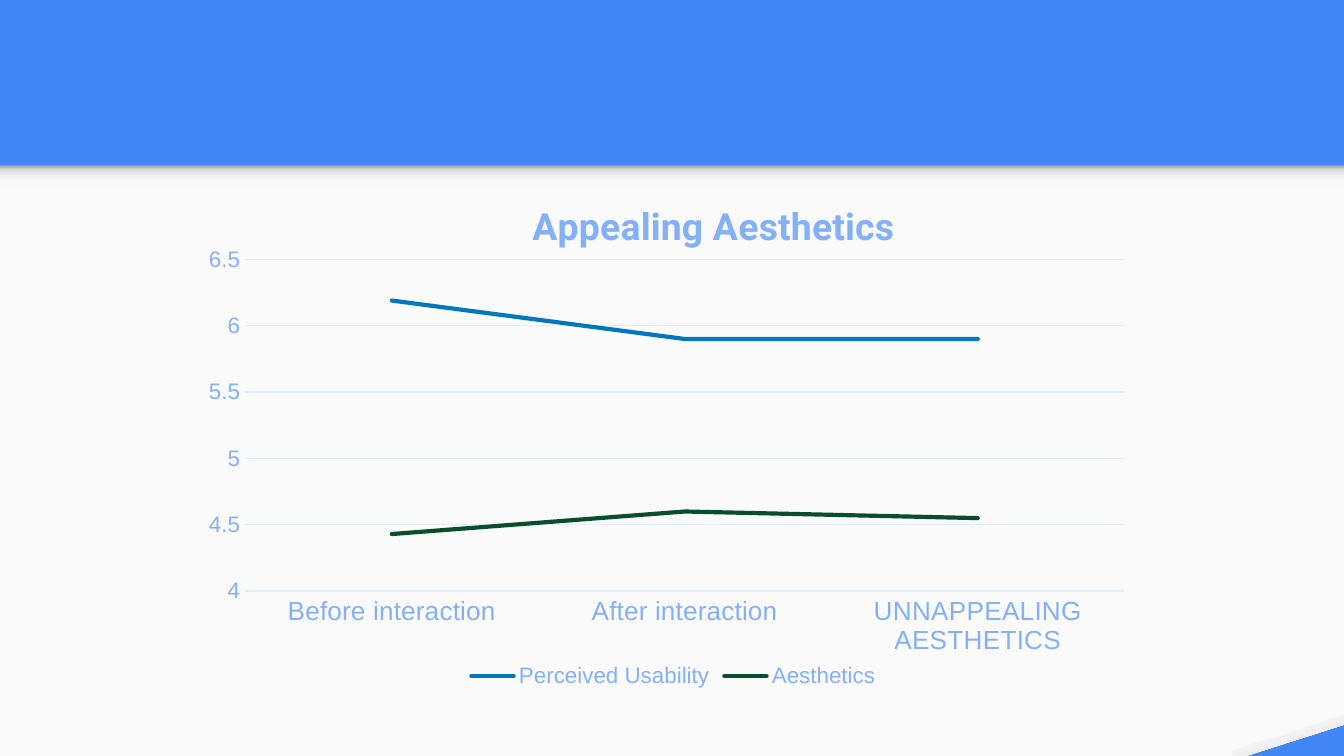
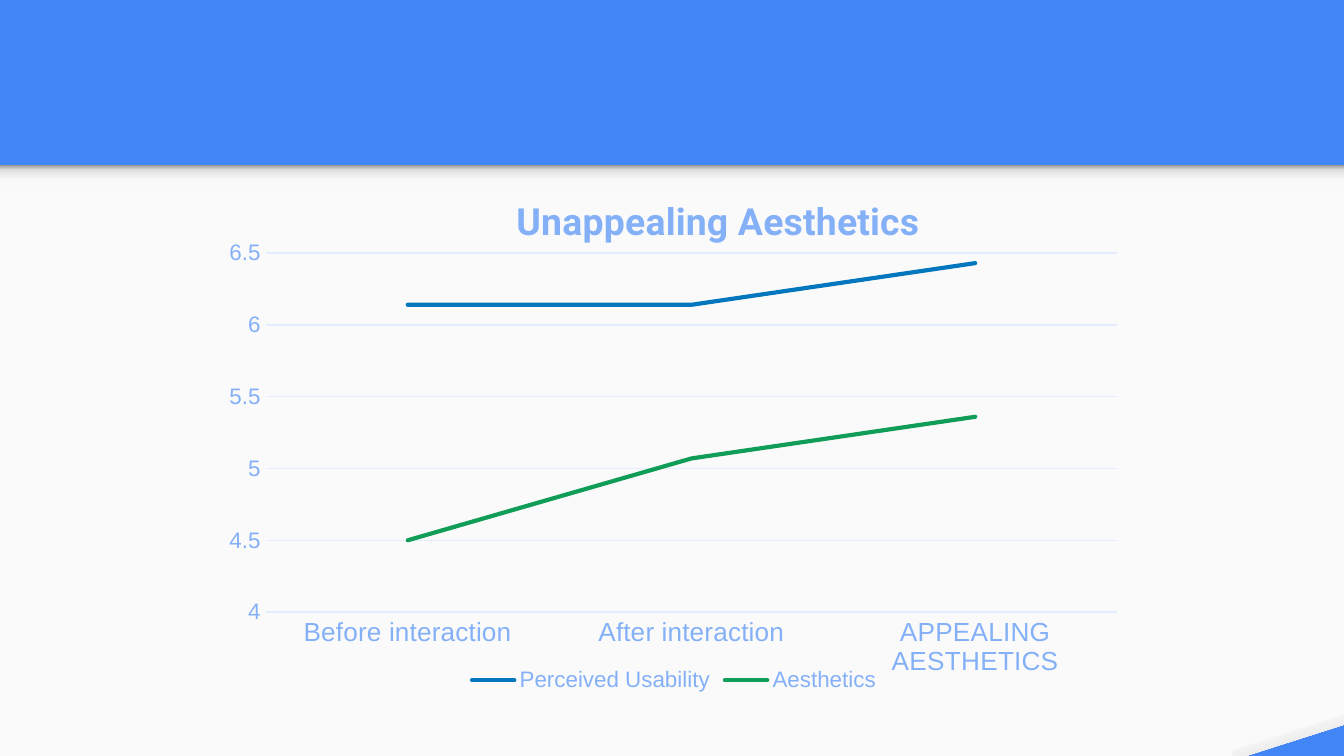
from lxml import etree
from pptx import Presentation
from pptx.chart.data import CategoryChartData
from pptx.dml.color import RGBColor
from pptx.enum.chart import XL_CHART_TYPE, XL_LEGEND_POSITION, XL_MARKER_STYLE, XL_TICK_MARK
from pptx.enum.shapes import MSO_SHAPE
from pptx.oxml import parse_xml
from pptx.oxml.ns import nsdecls, qn
from pptx.util import Inches, Pt

LINE = XL_CHART_TYPE.LINE
BOTTOM = XL_LEGEND_POSITION.BOTTOM
NO_MARKER = XL_MARKER_STYLE.NONE
NO_TICK = XL_TICK_MARK.NONE
RECTANGLE = MSO_SHAPE.RECTANGLE
TRIANGLE = MSO_SHAPE.ISOSCELES_TRIANGLE

BLUE = RGBColor(0x42, 0x85, 0xF4)
PALE_BLUE = RGBColor(0x84, 0xB0, 0xF8)
GRID_BLUE = RGBColor(0xE3, 0xED, 0xFD)
PAPER = RGBColor(0xFA, 0xFA, 0xFA)
USABILITY_BLUE = RGBColor(0x02, 0x77, 0xBD)
DARK_GREEN = RGBColor(0x08, 0x4E, 0x2C)
GREEN = RGBColor(0x0F, 0x9D, 0x58)
SHADOW_STOPS = [(0, "F9F9F9"), (36, "F9F9F9"), (80, "DEDEDE"), (100, "999999")]

BODY_FONT, TITLE_FONT = "Arial", "Roboto"
WIDTH = 10
HEIGHT = WIDTH * 9 / 16
BAND = 1.23
STAGES = ["Before interaction", "After interaction"]


def add_plain(s, kind, box, color):
    sp = s.shapes.add_shape(kind, *map(Inches, box))
    sp.shadow.inherit = False
    sp.fill.solid()
    sp.fill.fore_color.rgb = color
    sp.line.fill.background()
    return sp


def add_soft_edge(s, box, rotation=0):
    """Add a strip that fades from grey at its top to the paper colour."""
    sp = add_plain(s, RECTANGLE, box, PAPER)
    sp.rotation = rotation
    sp.fill.gradient()
    sp.fill.gradient_angle = 90
    stops = sp.element.spPr.find(qn("a:gradFill")).find(qn("a:gsLst"))
    for stop in list(stops):
        stops.remove(stop)
    for share, color in SHADOW_STOPS:
        gs = etree.SubElement(stops, qn("a:gs"), pos=str(share * 1000))
        etree.SubElement(gs, qn("a:srgbClr"), val=color)
    return sp


def dress_layout(layout, s):
    """Draw the shared backdrop on s and move it into the layout."""
    fill = layout.background.fill
    fill.solid()
    fill.fore_color.rgb = BLUE
    paper = add_plain(s, RECTANGLE, (0, BAND, WIDTH, HEIGHT - BAND), PAPER)
    band_edge = add_soft_edge(s, (0, BAND, WIDTH, 0.17))
    corner = add_plain(s, TRIANGLE, (WIDTH - 0.73, HEIGHT - 0.23, 0.73, 0.23), BLUE)
    corner.adjustments[0] = 1
    corner_edge = add_soft_edge(s, (9.15, 5.45, 0.89, 0.07), 162.3)
    for sp in (paper, band_edge, corner, corner_edge):
        layout.shapes.element.append(sp.element)


def style_font(font, size, color=PALE_BLUE, name=BODY_FONT, bold=False):
    font.size, font.name, font.bold = Pt(size), name, bold
    font.color.rgb = color


def style_line(line, color, width):
    line.color.rgb = color
    line.width = Pt(width)


def set_layout(parent, percents, inner=False):
    """Place a chart part at percents (x, y and maybe w, h) of the chart."""
    for old in parent.findall(qn("c:layout")):
        parent.remove(old)
    target = '<c:layoutTarget val="inner"/>' if inner else ""
    modes = '<c:xMode val="edge"/><c:yMode val="edge"/>'
    values = "".join(f'<c:{k} val="{v / 100:.3f}"/>' for k, v in zip("xywh", percents))
    layout = parse_xml(f'<c:layout {nsdecls("c")}><c:manualLayout>{target}{modes}{values}'
                       "</c:manualLayout></c:layout>")
    text = parent.find(qn("c:tx"))
    if text is None:
        parent.insert(0, layout)
    else:
        text.addnext(layout)


def style_axes(chart):
    stages, scores = chart.category_axis, chart.value_axis
    for axis, size in ((stages, 14), (scores, 12)):
        axis.major_tick_mark = axis.minor_tick_mark = NO_TICK
        style_font(axis.tick_labels.font, size)
    style_line(stages.format.line, GRID_BLUE, 0.75)
    scores.format.line.fill.background()
    scores.minimum_scale, scores.maximum_scale, scores.major_unit = 4, 6.5, 0.5
    scores.has_major_gridlines = True
    style_line(scores.major_gridlines.format.line, GRID_BLUE, 0.75)


def style_series(plot, colors):
    plot.vary_by_categories = False
    for series, color in zip(plot.series, colors):
        series.smooth = False
        series.marker.style = NO_MARKER
        style_line(series.format.line, color, 2.25)
        outline = series.format.element if hasattr(series.format, "element") else None
        if outline is None:
            outline = series.element if hasattr(series, "element") else None
        for ln in [] if outline is None else outline.findall(f'{qn("c:spPr")}/{qn("a:ln")}'):
            ln.set("cap", "rnd")


def add_rating_chart(s, box, title, title_at, plot_at, last_stage, usability, aesthetics, green):
    data = CategoryChartData()
    data.categories = STAGES + [last_stage]
    data.add_series("Perceived Usability", usability)
    data.add_series("Aesthetics", aesthetics)
    chart = s.shapes.add_chart(LINE, *map(Inches, box), data).chart
    style_font(chart.font, 10, BLUE)

    chart.has_title = True
    r = chart.chart_title.text_frame.paragraphs[0].add_run()
    r.text = title
    style_font(r.font, 20, name=TITLE_FONT, bold=True)
    chart.chart_title.include_in_layout = False
    set_layout(chart.chart_title.element, title_at)
    set_layout(chart.element.chart.plotArea, plot_at, inner=True)

    chart.has_legend = True
    chart.legend.position = BOTTOM
    chart.legend.include_in_layout = False
    style_font(chart.legend.font, 12)
    style_axes(chart)
    style_series(chart.plots[0], (USABILITY_BLUE, green))


def main():
    prs = Presentation()
    prs.slide_width, prs.slide_height = Inches(WIDTH), Inches(HEIGHT)
    layout = prs.slide_layouts.get_by_name("Blank")

    s = prs.slides.add_slide(layout)
    dress_layout(layout, s)
    add_rating_chart(s, (1.44, 1.26, 7.14, 3.9), "Appealing Aesthetics",
                     (34.6, 4.7), (5.4, 17.2, 91.6, 63.3),
                     "UNNAPPEALING AESTHETICS",
                     (6.19, 5.9, 5.9), (4.43, 4.6, 4.55), DARK_GREEN)

    s = prs.slides.add_slide(layout)
    add_rating_chart(s, (1.58, 1.3, 6.87, 3.89), "Unappealing Aesthetics",
                     (32.2, 2.7), (5.8, 15, 92.2, 68.7),
                     "APPEALING AESTHETICS",
                     (6.14, 6.14, 6.43), (4.5, 5.07, 5.36), GREEN)
    prs.save("out.pptx")


if __name__ == "__main__":
    main()
